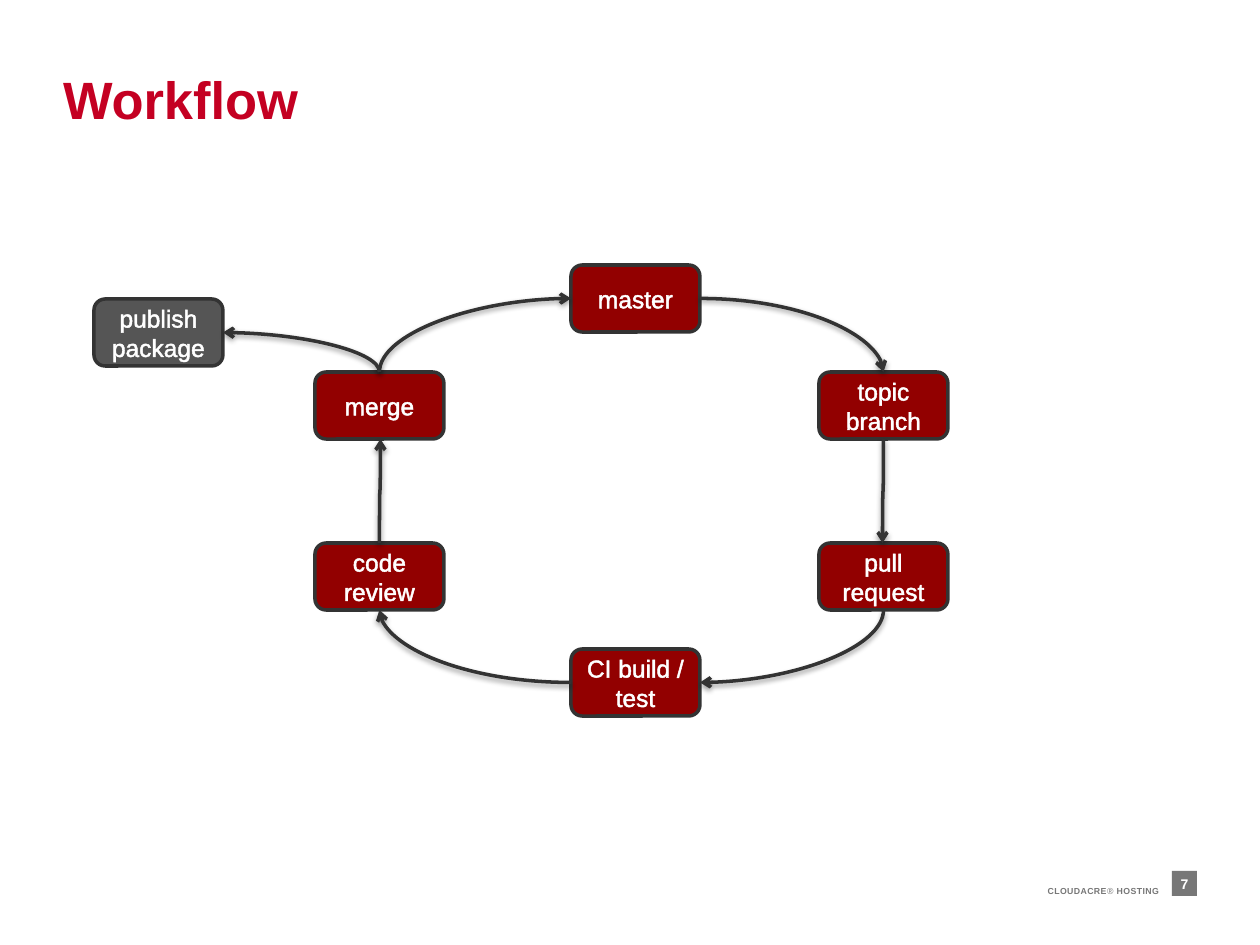
import pptx
import pptx.util
import pptx.dml.color
import pptx.enum.shapes
import pptx.enum.text
import pptx.oxml
import pptx.oxml.ns

RGB = pptx.dml.color.RGBColor
SHAPE = pptx.enum.shapes.MSO_SHAPE
ALIGN = pptx.enum.text.PP_ALIGN
ANCHOR = pptx.enum.text.MSO_ANCHOR
SCALE = 914400 / 126  # EMU per pixel

TITLE_RED = RGB(0xC4, 0x00, 0x22)
STEP_RED = RGB(0x92, 0x00, 0x00)
SIDE_GREY = RGB(0x55, 0x55, 0x55)
FOOTER_GREY = RGB(0x77, 0x77, 0x77)
INK = RGB(0x33, 0x33, 0x33)
WHITE = RGB(0xFF, 0xFF, 0xFF)

STEP_W, STEP_H = 129, 67
# Step: (left, top, fill), relative to the diagram box
STEPS = {
    "master": (477, 0, STEP_RED),
    "CI build / test": (477, 384, STEP_RED),
    "pull request": (725, 278, STEP_RED),
    "topic branch": (725, 107, STEP_RED),
    "code review": (221, 278, STEP_RED),
    "merge": (221, 107, STEP_RED),
    "publish package": (0, 34, SIDE_GREY),
}
# Arrow: (from step, side, to step, side, sideways shift of the tip)
ARROWS = [
    ("master", "right", "topic branch", "top", 0),
    ("topic branch", "bottom", "pull request", "top", -1),
    ("pull request", "bottom", "CI build / test", "right", 0),
    ("CI build / test", "left", "code review", "bottom", 0),
    ("code review", "top", "merge", "bottom", 1),
    ("merge", "top", "master", "left", 0),
    ("merge", "top", "publish package", "right", 0),
]
SIDES = {"left": (0, 0.5), "right": (1, 0.5), "top": (0.5, 0), "bottom": (0.5, 1)}


def px(*lengths):
    return [pptx.util.Emu(round(length * SCALE)) for length in lengths]


def xml(markup):
    head, rest = markup.split(" ", 1)
    return pptx.oxml.parse_xml(f"{head} {pptx.oxml.ns.nsdecls('a')} {rest}")


def write(frame, text, size, color, bold=False, align=ALIGN.LEFT, anchor=ANCHOR.TOP,
          spacing=None, tracking=None, outline=False, inset=None):
    """Set text in a frame; text is a string or a list of (string, bold) runs."""
    frame.word_wrap = True
    frame.vertical_anchor = anchor
    if inset is not None:
        frame.margin_left = frame.margin_right = inset
        frame.margin_top = frame.margin_bottom = inset
    paragraph = frame.paragraphs[0]
    paragraph.alignment = align
    if spacing is not None:
        paragraph.line_spacing = spacing
    for words, heavy in [(text, bold)] if isinstance(text, str) else text:
        run = paragraph.add_run()
        run.text = words
        run.font.name = "Arial"
        run.font.size = pptx.util.Pt(size)
        run.font.bold = heavy
        run.font.color.rgb = color
        properties = run.font._element
        if tracking is not None:
            properties.set("spc", str(tracking))
        if outline:
            properties.insert(0, xml(
                f'<a:ln w="9525"><a:solidFill><a:srgbClr val="{color}"/></a:solidFill></a:ln>'))


def add_block(slide, kind, box, fill, border=None):
    block = slide.shapes.add_shape(kind, *px(*box))
    block.shadow.inherit = False
    block.fill.solid()
    block.fill.fore_color.rgb = fill
    if border is None:
        block.line.fill.background()
    else:
        block.line.color.rgb = border
        block.line.width = pptx.util.Pt(2)
    return block


def add_arrow(slide, start, end, vertical_first, bends):
    """Curved arrow; one that leaves vertically is laid out sideways and turned by 90 degrees."""
    (x1, y1), (x2, y2) = start, end
    if vertical_first:
        cx, cy, dx, dy = (x1 + x2) / 2, (y1 + y2) / 2, x2 - x1, y2 - y1
        x1, y1, x2, y2 = cx - dy / 2, cy + dx / 2, cx + dy / 2, cy - dx / 2
    arrow = slide.shapes.add_connector(
        pptx.enum.shapes.MSO_CONNECTOR.CURVE, *px(x1, y1, x2, y2))
    arrow.line.color.rgb = INK
    arrow.line.width = pptx.util.Pt(2)
    properties = arrow._element.spPr
    if vertical_first:
        properties.find(pptx.oxml.ns.qn("a:xfrm")).set("rot", "5400000")
    properties.find(pptx.oxml.ns.qn("a:prstGeom")).set("prst", f"curvedConnector{bends}")
    arrow.line._get_or_add_ln().append(xml('<a:tailEnd type="arrow"/>'))
    properties.append(xml(
        '<a:effectLst ><a:outerShdw blurRad="40000" dist="20000" dir="5400000" rotWithShape="0">'
        '<a:srgbClr val="000000"><a:alpha val="38000"/></a:srgbClr>'
        '</a:outerShdw></a:effectLst>'))


def add_title(slide, box, text):
    title = slide.shapes.title
    title.left, title.top, title.width, title.height = px(*box)
    write(title.text_frame, text, 30, TITLE_RED, bold=True, anchor=ANCHOR.MIDDLE,
          spacing=0.79, inset=0)


def add_workflow(slide, left, top):
    # Steps
    for label, (x, y, fill) in STEPS.items():
        step = add_block(slide, SHAPE.ROUNDED_RECTANGLE,
                         (left + x, top + y, STEP_W, STEP_H), fill, INK)
        write(step.text_frame, label, 14, WHITE, align=ALIGN.CENTER,
              anchor=ANCHOR.MIDDLE, outline=True)

    # Arrows between the steps
    def port(label, side):
        x, y, _ = STEPS[label]
        across, down = SIDES[side]
        return left + x + across * STEP_W, top + y + down * STEP_H

    upright = ("top", "bottom")
    for source, out_side, target, in_side, shift in ARROWS:
        x, y = port(target, in_side)
        vertical_first = out_side in upright
        bends = 3 if vertical_first and in_side in upright else 2
        add_arrow(slide, port(source, out_side), (x + shift, y), vertical_first, bends)


def add_footer(slide, left, top):
    owner = slide.shapes.add_textbox(*px(left, top + 15, 882, 10))
    write(owner.text_frame, [("CLOUDACRE", True), ("®", False), (" HOSTING", True)], 5,
          FOOTER_GREY, align=ALIGN.RIGHT, spacing=pptx.util.Pt(6), tracking=20, inset=0)
    page_number = add_block(slide, SHAPE.RECTANGLE, (left + 895, top, 25, 25), FOOTER_GREY)
    write(page_number.text_frame, "7", 8, WHITE, bold=True, align=ALIGN.CENTER,
          anchor=ANCHOR.MIDDLE, inset=0)


deck = pptx.Presentation()
deck.slide_width, deck.slide_height = px(1260, 945)
workflow_slide = deck.slides.add_slide(deck.slide_layouts[5])
add_footer(workflow_slide, 277, 871)
add_title(workflow_slide, (63, 78, 1134, 53), "Workflow")
add_workflow(workflow_slide, 94, 265)
deck.save("out.pptx")
